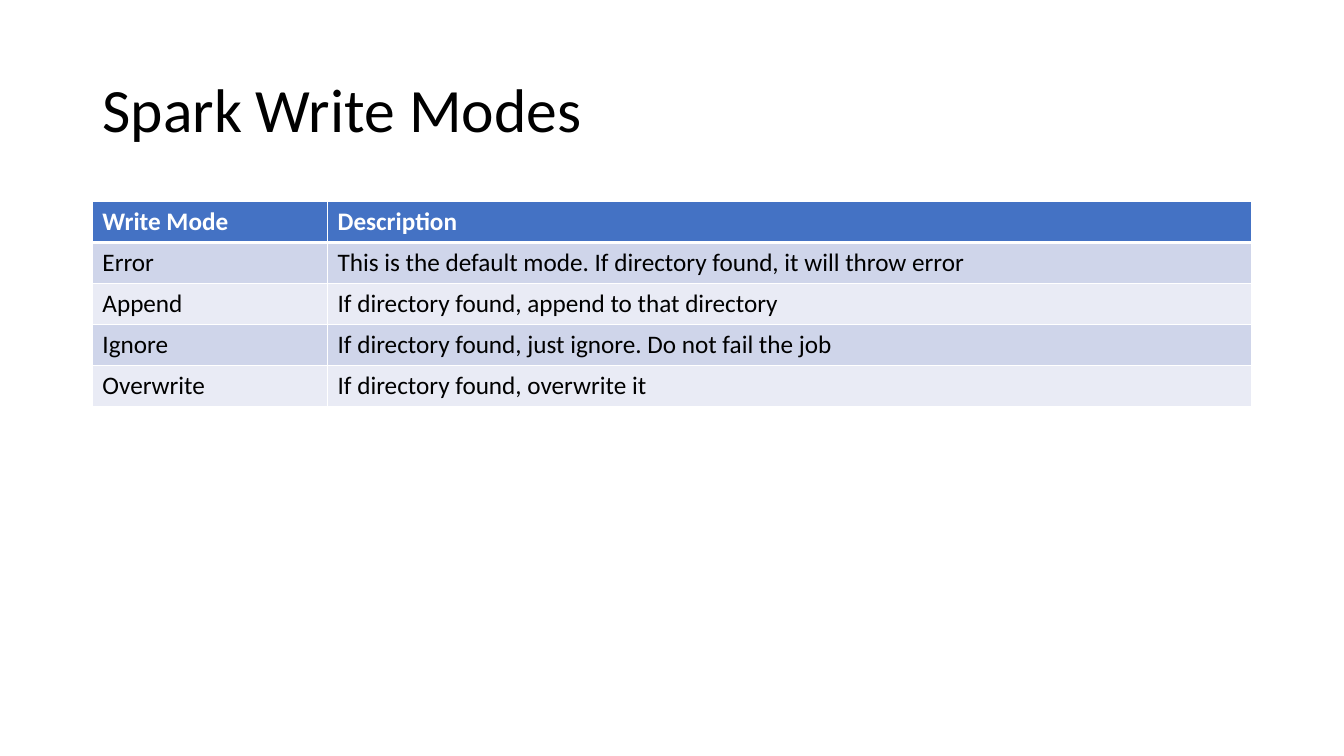
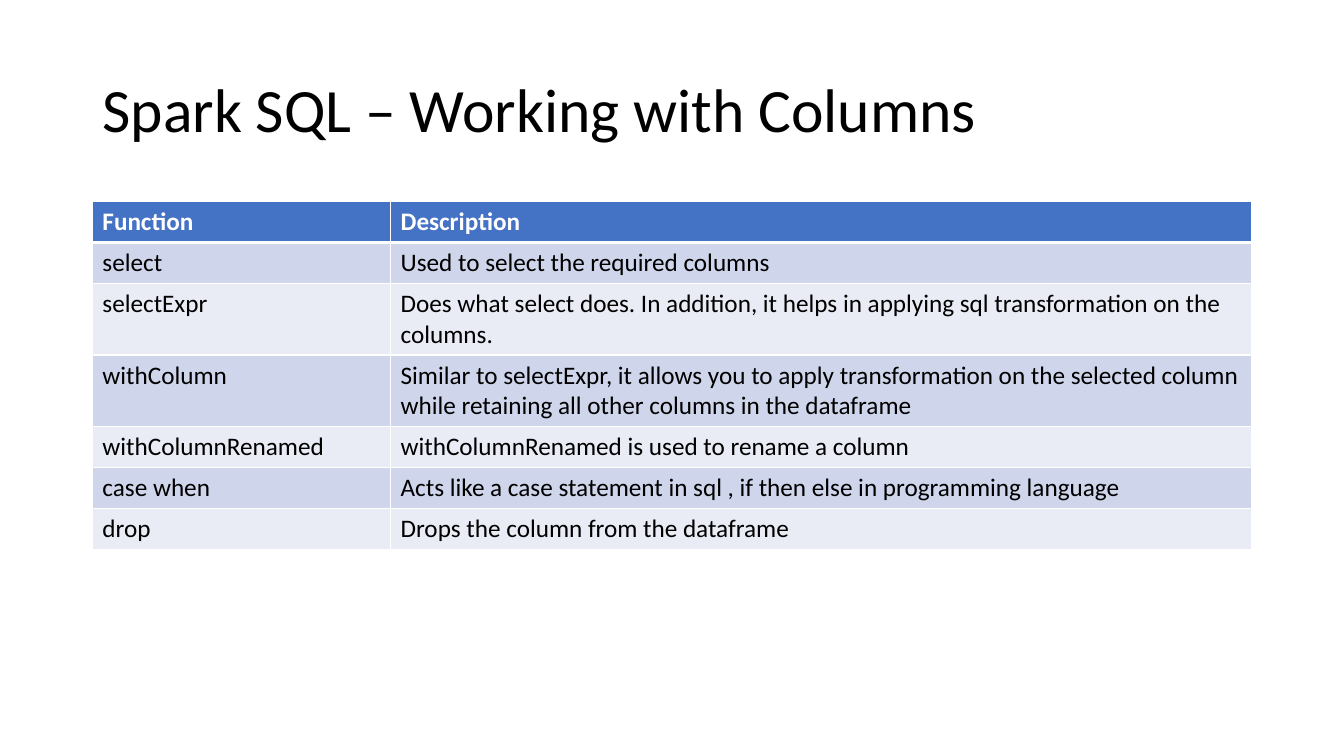
from lxml import etree
from pptx import Presentation
from pptx.dml.color import RGBColor
from pptx.enum.text import MSO_ANCHOR, MSO_AUTO_SIZE, PP_ALIGN
from pptx.oxml.ns import qn
from pptx.util import Pt

LEFT = PP_ALIGN.LEFT
MIDDLE = MSO_ANCHOR.MIDDLE
NO_FIT = MSO_AUTO_SIZE.NONE

# Content
SLIDES = [
    {
        "title": "Spark Write Modes",
        "first_column": 224,
        "rows": [
            ("Write Mode", "Description"),
            ("Error", "This is the default mode. If directory found, it will throw error"),
            ("Append", "If directory found, append to that directory"),
            ("Ignore", "If directory found, just ignore. Do not fail the job"),
            ("Overwrite", "If directory found, overwrite it"),
        ],
    },
    {
        "title": "Spark SQL – Working with Columns",
        "first_column": 284,
        "rows": [
            ("Function", "Description"),
            ("select", "Used to select the required columns"),
            ("selectExpr", "Does what select does. In addition, it helps in applying "
                           "sql transformation on the columns."),
            ("withColumn", "Similar to selectExpr, it allows you to apply transformation on "
                           "the selected column while retaining all other columns in the dataframe"),
            ("withColumnRenamed", "withColumnRenamed is used to rename a column"),
            ("case when", "Acts like a case statement in sql , if then else in programming language"),
            ("drop", "Drops the column from the dataframe"),
        ],
    },
]

# Shared style, lengths in px
PX = 9525
PAGE_WIDTH, PAGE_HEIGHT = 1280, 720
MARGIN = 88
BODY_WIDTH = PAGE_WIDTH - 2 * MARGIN
TITLE_TOP, TITLE_HEIGHT = 38, 139
TABLE_TOP, ROW_HEIGHT = 192, 39
FONT = "Calibri"
TITLE_SIZE, CELL_SIZE = 44, 18
THIN, THICK = 1, 3
BLACK = RGBColor(0x00, 0x00, 0x00)
WHITE = RGBColor(0xFF, 0xFF, 0xFF)
HEADER_BLUE = RGBColor(0x44, 0x72, 0xC4)
BAND_FILLS = (RGBColor(0xE9, 0xEB, 0xF5), RGBColor(0xCF, 0xD5, 0xEA))


def format_text(frame, size, color, bold=False):
    for para in frame.paragraphs:
        para.alignment = LEFT
        for span in para.runs:
            span.font.name = FONT
            span.font.size = Pt(size)
            span.font.bold = bold
            span.font.color.rgb = color


def set_borders(cell, top, bottom):
    """Draw white cell borders; widths are in points."""
    properties = cell._tc.get_or_add_tcPr()
    sides = (("a:lnL", THIN), ("a:lnR", THIN), ("a:lnT", top), ("a:lnB", bottom))
    for position, (tag, width) in enumerate(sides):
        line = etree.Element(qn(tag), w=str(Pt(width)))
        fill = etree.SubElement(line, qn("a:solidFill"))
        etree.SubElement(fill, qn("a:srgbClr"), val=str(WHITE))
        properties.insert(position, line)


def add_title(page, text):
    title = page.shapes.title
    title.left, title.top = MARGIN * PX, TITLE_TOP * PX
    title.width, title.height = BODY_WIDTH * PX, TITLE_HEIGHT * PX
    frame = title.text_frame
    frame.text = text
    frame.word_wrap = True
    frame.auto_size = NO_FIT
    frame.vertical_anchor = MIDDLE
    frame.paragraphs[0].line_spacing = 0.9
    format_text(frame, TITLE_SIZE, BLACK)


def add_body_table(page, rows, first_column):
    widths = (first_column, BODY_WIDTH - first_column)
    table = page.shapes.add_table(
        len(rows), len(widths), MARGIN * PX, TABLE_TOP * PX,
        BODY_WIDTH * PX, len(rows) * ROW_HEIGHT * PX).table
    for column, width in zip(table.columns, widths):
        column.width = width * PX
    for row_index, texts in enumerate(rows):
        header = row_index == 0
        for column_index, text in enumerate(texts):
            cell = table.cell(row_index, column_index)
            cell.text_frame.text = text
            format_text(cell.text_frame, CELL_SIZE, WHITE if header else BLACK, header)
            cell.fill.solid()
            cell.fill.fore_color.rgb = HEADER_BLUE if header else BAND_FILLS[row_index % 2]
            # The thick rule is shared by the header and the row below it
            set_borders(cell, THICK if row_index == 1 else THIN, THICK if header else THIN)


def main():
    deck = Presentation()
    deck.slide_width, deck.slide_height = PAGE_WIDTH * PX, PAGE_HEIGHT * PX
    title_only = deck.slide_layouts.get_by_name("Title Only")
    for content in SLIDES:
        page = deck.slides.add_slide(title_only)
        add_title(page, content["title"])
        add_body_table(page, content["rows"], content["first_column"])
    deck.save("out.pptx")


if __name__ == "__main__":
    main()
